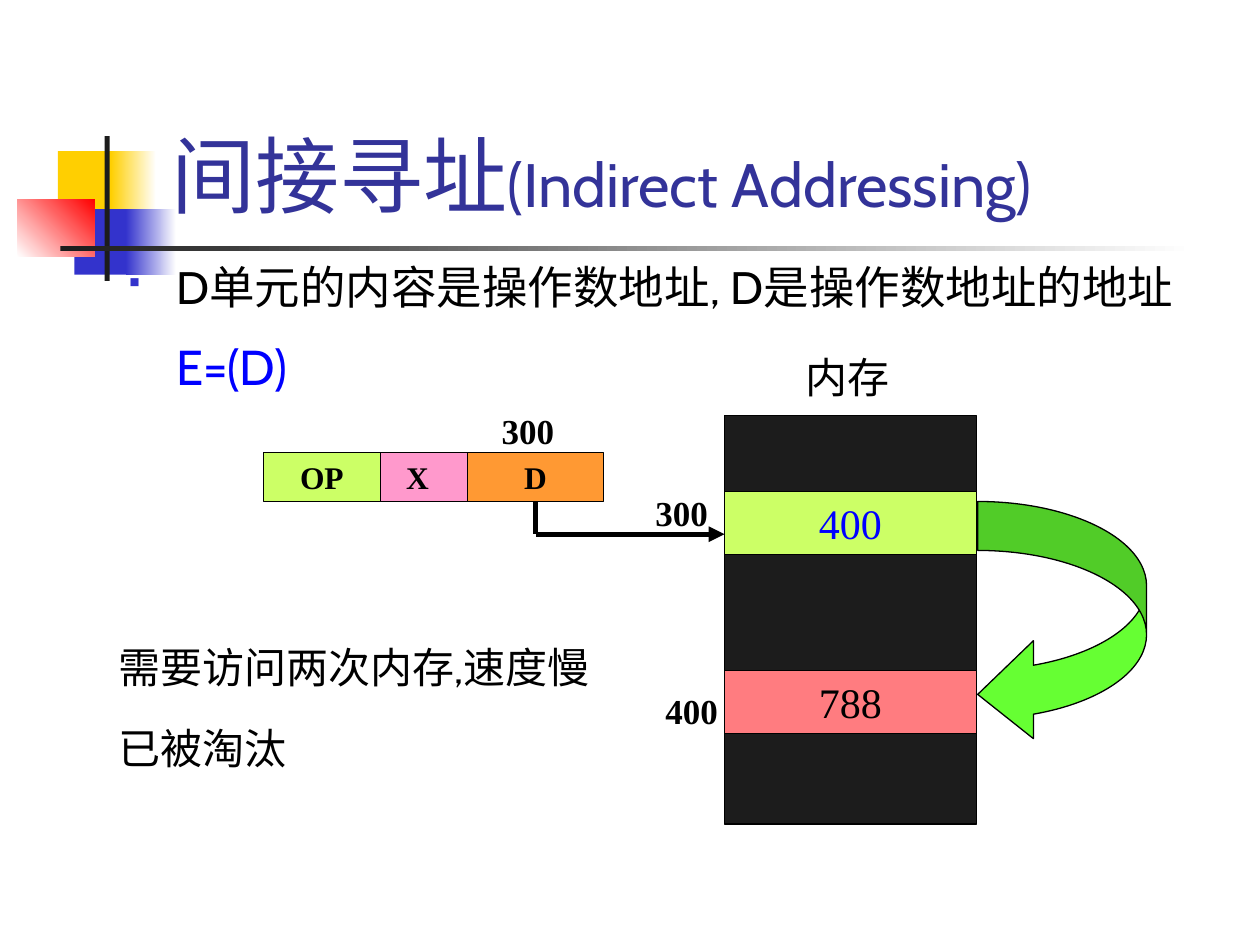
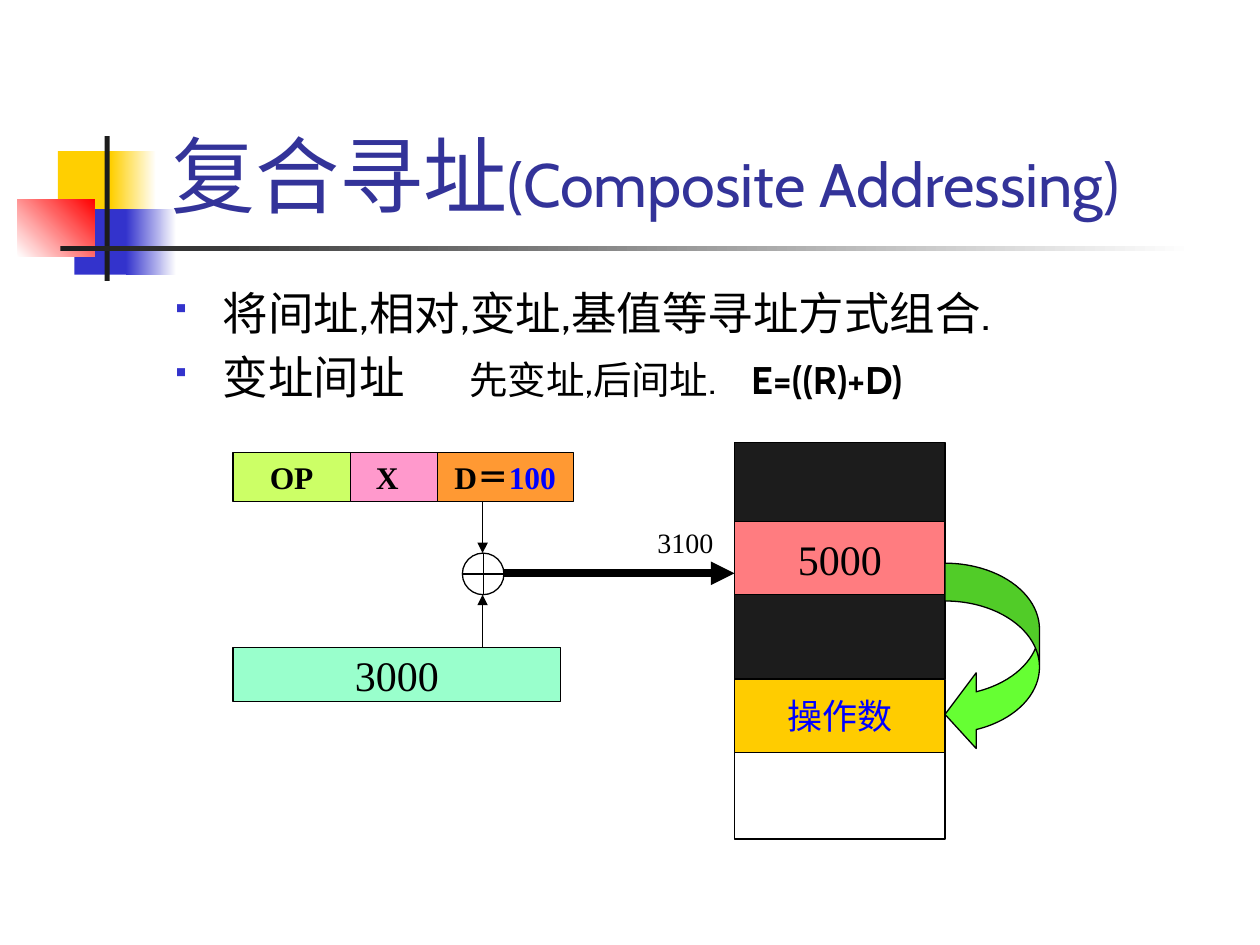
from lxml import etree
from pptx import Presentation
from pptx.dml.color import RGBColor
from pptx.enum import shapes, text
from pptx.oxml.ns import qn
from pptx.util import Inches, Pt

COLORS = {
    "title": "333399", "black": "000000", "white": "FFFFFF", "ink": "1C1C1C",
    "gold": "FFCF01", "indigo": "3333CC", "red": "FF0000", "blue": "0000FF",
    "lime": "CCFF66", "pink": "FF99CC", "orange": "FF9933", "rose": "FF7C80",
    "amber": "FFCC00", "mint": "99FFCC", "green": "66FF33",
}
CJK, SANS, SERIF = "Noto Sans CJK JP", "Cabin", "Times New Roman"
SHAPE, CENTER = shapes.MSO_SHAPE, text.PP_ALIGN.CENTER

# (left, top, width, height), colour, second gradient colour, gradient angle
DECORATION = [
    ((0.46, 1.2, 0.48, 0.52), "gold", None, 0),
    ((0.88, 1.2, 0.36, 0.52), "gold", "white", 0),
    ((0.59, 1.66, 0.46, 0.52), "indigo", None, 0),
    ((1, 1.66, 0.4, 0.52), "indigo", "white", 0),
    ((0.14, 1.58, 0.61, 0.46), "white", "red", 45),
    ((0.83, 1.08, 0.04, 1.15), "ink", None, 0),
    ((0.48, 1.95, 9, 0.04), "ink", "white", 0),
]
TITLE_BOX = (1.26, 0.23, 8.52, 1.6)
FIELD_TOP, FIELD_HEIGHT = 3.59, 0.39
FIELDS = [(0.93, "lime"), (0.69, "pink"), (1.08, "orange")]

# Runs are (text, changes to the paragraph's font)
INDIRECT = {
    "title": ("间接寻址", "(Indirect Addressing)"),
    "body": (0.92, 1.83, 8.5, 2.17),
    "line_spacing": 1.4,
    "bullets": [[("D单元的内容是操作数地址, D是操作数地址的地址", {}),
                 (" ", {"gap": 6}),
                 ("E=(D)", {"size": 28, "color": "blue"})]],
    "fields_left": 2.09,
    "fields": [[("OP", {})], [("X", {})], [("D", {})]],
    "memory": (5.75, 3.3, 2),
    # height, fill, text, size, text colour
    "cells": [(0.6, "ink", "", 24, "black"), (0.5, "lime", "400", 24, "blue"),
              (0.92, "ink", "", 24, "black"), (0.5, "rose", "788", 24, "black"),
              (0.72, "ink", "", 24, "black")],
    "jump": ((7.76, 3.98, 1.34, 1.92), (0.29, 0.58, 0.33)),
}
COMPOSITE = {
    "title": ("复合寻址", "(Composite Addressing)"),
    "body": (1.29, 2.21, 8.5, 1.5),
    "line_spacing": 1,
    "bullets": [[("将间址,相对,变址,基值等寻址方式组合.", {})],
                [("变址间址", {}), (" ", {"gap": 31}),
                 ("先变址,后间址.", {"size": 22}), (" ", {"gap": 15, "size": 22}),
                 ("E=((R)+D)", {"size": 22, "bold": True})]],
    "fields_left": 1.85,
    "fields": [[("OP", {})], [("X", {})], [("D＝", {}), ("100", {"color": "blue"})]],
    "memory": (5.83, 3.51, 1.67),
    "cells": [(0.63, "ink", "", 24, "black"), (0.58, "rose", "5000", 24, "black"),
              (0.67, "ink", "", 24, "black"), (0.58, "amber", "操作数", 20, "blue"),
              (0.69, None, "", 24, "black")],
    "jump": ((7.5, 4.47, 0.75, 1.5), (0.4, 0.8, 0.33)),
}
# text, box, size, bold, alignment
INDIRECT_LABELS = [
    ("300", (3.86, 3.2, 0.66, 0.41), 20, True, CENTER),
    ("300", (5.08, 3.85, 0.66, 0.41), 20, True, CENTER),
    ("400", (5.16, 5.42, 0.66, 0.41), 20, True, CENTER),
    ("内存", (6.13, 2.74, 1.2, 0.5), 24, False, CENTER),
]
COMPOSITE_LABELS = [("3100", (5.12, 4.12, 0.64, 0.37), 16, False, None)]
REMARKS = ["需要访问两次内存,速度慢", "已被淘汰"]


def rgb(name):
    return RGBColor.from_string(COLORS[name])


def inches(box):
    return [Inches(v) for v in box]


def add_paragraph(tf, runs, size, color="black", font=SERIF, bold=False, align=None):
    first = tf.paragraphs[0]
    p = tf.add_paragraph() if first.runs else first
    p.alignment = align
    p.font.name, p.font.size, p.font.bold = font, Pt(size), bold
    p.font.color.rgb = rgb(color)
    etree.SubElement(p.font._element, qn("a:ea"), typeface=CJK)
    for words, changes in runs:
        r = p.add_run()
        r.text = words
        if "size" in changes:
            r.font.size = Pt(changes["size"])
        if "color" in changes:
            r.font.color.rgb = rgb(changes["color"])
        if "bold" in changes:
            r.font.bold = changes["bold"]
        if "font" in changes:
            r.font.name = changes["font"]
        if "gap" in changes:
            r.font._element.set("spc", str(changes["gap"] * 100))
    return p


def indent(p, bullet=False):
    """Hang the paragraph, with a square bullet if asked."""
    pPr = p._p.get_or_add_pPr()
    pPr.set("marL", str(Inches(0.38)))
    pPr.set("indent", str(-Inches(0.38)))
    if bullet:
        # In Wingdings the section sign draws a filled square
        parts = [etree.Element(qn("a:buClr")),
                 etree.Element(qn("a:buSzPct"), val="60000"),
                 etree.Element(qn("a:buFont"), typeface="Wingdings", charset="2"),
                 etree.Element(qn("a:buChar"), char="§")]
        etree.SubElement(parts[0], qn("a:srgbClr"), val=COLORS["indigo"])
        for part in parts:
            pPr.find(qn("a:defRPr")).addprevious(part)


def add_textbox(s, box, wrap=True):
    tf = s.shapes.add_textbox(*inches(box)).text_frame
    tf.word_wrap = wrap
    return tf


def add_shape(s, kind, box, fill, outlined=True):
    sp = s.shapes.add_shape(kind, *inches(box))
    sp.shadow.inherit = False
    if fill:
        sp.fill.solid()
        sp.fill.fore_color.rgb = rgb(fill)
    else:
        sp.fill.background()
    if outlined:
        sp.line.color.rgb = rgb("black")
        sp.line.width = Pt(0.75)
    else:
        sp.line.fill.background()
    return sp


def add_cell(s, box, fill, runs, size, color="black", bold=False):
    sp = add_shape(s, SHAPE.RECTANGLE, box, fill)
    tf = sp.text_frame
    tf.word_wrap = False
    tf.vertical_anchor = text.MSO_ANCHOR.MIDDLE
    if runs:
        add_paragraph(tf, runs, size, color, bold=bold, align=CENTER)
    return sp


def add_line(s, start, end, width, arrow=True):
    line = s.shapes.add_connector(shapes.MSO_CONNECTOR.STRAIGHT, *inches(start + end))
    line.line.color.rgb = rgb("black")
    line.line.width = Pt(width)
    if arrow:
        etree.SubElement(line.line._get_or_add_ln(), qn("a:tailEnd"), type="triangle")
    etree.SubElement(line._element.spPr, qn("a:effectLst"))
    return line


def add_decoration(s):
    for box, color, second, angle in DECORATION:
        sp = add_shape(s, SHAPE.RECTANGLE, box, color, outlined=False)
        if second:
            sp.fill.gradient()
            sp.fill.gradient_angle = angle
            for stop, name in zip(sp.fill.gradient_stops, (color, second)):
                stop.color.rgb = rgb(name)


def add_fields(s, content):
    """Draw the instruction word and return its address field."""
    left = content["fields_left"]
    for (width, fill), runs in zip(FIELDS, content["fields"]):
        sp = add_cell(s, (left, FIELD_TOP, width, FIELD_HEIGHT), fill, runs, 18, bold=True)
        if fill == "pink":
            sp.text_frame.margin_right = Inches(0.2)
        left += width
    return sp


def add_memory(s, content):
    left, top, width = content["memory"]
    for height, fill, words, size, color in content["cells"]:
        runs = [(words, {})] if words else []
        add_cell(s, (left, top, width, height), fill, runs, size, color)
        top += height
    box, adjustments = content["jump"]
    arrow = add_shape(s, SHAPE.CURVED_LEFT_ARROW, box, "green")
    for i, value in enumerate(adjustments):
        arrow.adjustments[i] = value


def add_slide(prs, content, labels):
    """Build everything both slides share; return the slide and its address field."""
    s = prs.slides.add_slide(prs.slide_layouts[6])
    add_decoration(s)
    tf = add_textbox(s, TITLE_BOX)
    tf.vertical_anchor = text.MSO_ANCHOR.BOTTOM
    chinese, english = content["title"]
    add_paragraph(tf, [(chinese, {"font": CJK}), (english, {"size": 35})],
                  48, "title", SANS)

    tf = add_textbox(s, content["body"])
    for i, runs in enumerate(content["bullets"]):
        p = add_paragraph(tf, runs, 26, font=SANS)
        p.line_spacing = content["line_spacing"]
        p.space_before = Pt(5.5 if i else 0)
        indent(p, bullet=True)

    add_memory(s, content)
    address = add_fields(s, content)
    for words, box, size, bold, align in labels:
        add_paragraph(add_textbox(s, box, wrap=False), [(words, {})], size,
                      bold=bold, align=align)
    return s, address


def build_indirect(prs):
    s, address = add_slide(prs, INDIRECT, INDIRECT_LABELS)
    corner = (4.25, 4.24)
    stem = add_line(s, (4.25, 3.98), corner, 3, arrow=False)
    stem.begin_connect(address, 2)
    add_line(s, corner, (5.75, 4.24), 3)
    tf = add_textbox(s, (0.84, 4.88, 4.33, 1.42))
    for i, remark in enumerate(REMARKS):
        p = add_paragraph(tf, [(remark, {})], 24, font=SANS)
        p.line_spacing = 1.4
        p.space_before = Pt(6 if i else 0)
        indent(p)


def build_composite(prs):
    s, _ = add_slide(prs, COMPOSITE, COMPOSITE_LABELS)
    add_cell(s, (1.85, 5.14, 2.6, 0.43), "mint", [("3000", {})], 24)
    add_shape(s, SHAPE.FLOWCHART_OR, (3.67, 4.39, 0.33, 0.33), None)
    add_line(s, (3.83, 3.98), (3.83, 4.39), 0.75)
    add_line(s, (3.83, 5.14), (3.83, 4.72), 0.75)
    add_line(s, (4, 4.55), (5.83, 4.55), 4.5)


def main():
    prs = Presentation()
    prs.slide_width, prs.slide_height = Inches(10), Inches(7.5)
    build_indirect(prs)
    build_composite(prs)
    prs.save("out.pptx")


if __name__ == "__main__":
    main()
